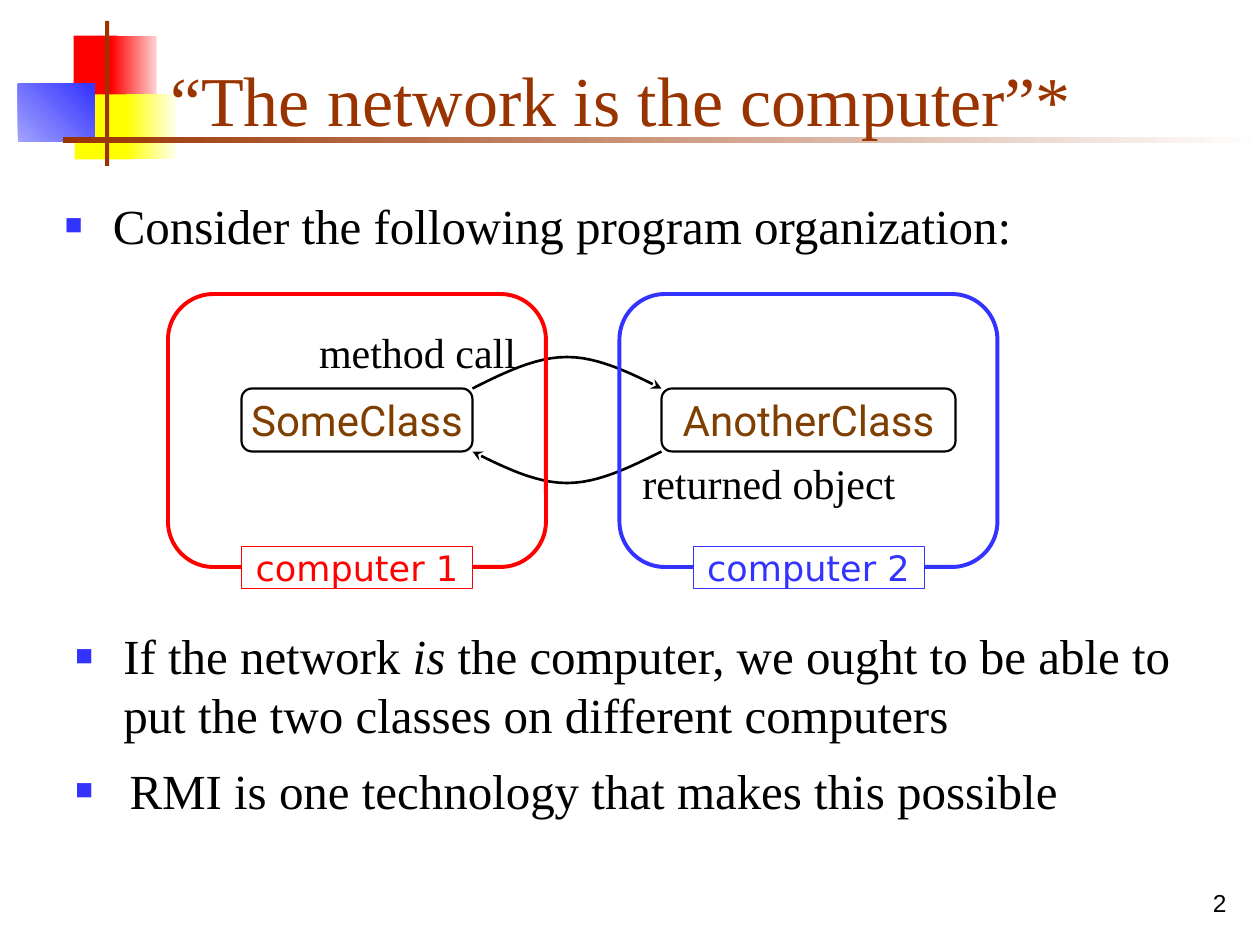
import pptx
import pptx.util
import pptx.dml.color
import pptx.enum.shapes
import pptx.enum.text
import pptx.oxml
import pptx.oxml.ns

hues = {"red": "FF0000", "pink": "FFD1D1", "yellow": "FFFF00", "cream": "FFFFF0",
        "blue": "3333FF", "pale": "A2A2FF", "rust": "993300", "brown": "7F3F00",
        "black": "000000", "white": "FFFFFF"}
color = {name: pptx.dml.color.RGBColor.from_string(code) for name, code in hues.items()}
kinds = pptx.enum.shapes.MSO_SHAPE
aligns = pptx.enum.text.PP_ALIGN
anchors = pptx.enum.text.MSO_ANCHOR
serif = "Times New Roman"

deck = pptx.Presentation()
deck.slide_width = pptx.util.Inches(10)
deck.slide_height = pptx.util.Inches(7.5)
unit = deck.slide_width // 120
slide = deck.slides.add_slide(deck.slide_layouts[5])
shapes = slide.shapes


def write(shape, text, size=28, font=serif, hue="black", align=aligns.LEFT,
          anchor=anchors.TOP, wrap=True, bullet=False, indent=0.38):
    frame = shape.text_frame
    frame.word_wrap = wrap
    frame.vertical_anchor = anchor
    para = frame.paragraphs[0]
    para.alignment = align
    if bullet:
        props = para._p.get_or_add_pPr()
        props.set("marL", str(pptx.util.Inches(indent)))
        props.set("indent", str(-pptx.util.Inches(indent)))
        space = pptx.oxml.ns.nsdecls("a")
        for part in (f'<a:buClr {space}><a:srgbClr val="{hues["blue"]}"/></a:buClr>',
                     f'<a:buSzPct {space} val="60000"/>',
                     f'<a:buFont {space} typeface="Arial"/>',
                     f'<a:buChar {space} char="■"/>'):
            props.append(pptx.oxml.parse_xml(part))
    for index, piece in enumerate(text.split("_")):
        run = para.add_run()
        run.text = piece
        run.font.size = pptx.util.Pt(size)
        run.font.name = font
        run.font.color.rgb = color[hue]
        run.font.italic = index % 2 == 1


def draw(kind, box, fill=None, line=None, width=1, angle=0):
    shape = shapes.add_shape(kind, *(round(n * unit) for n in box))
    shape.shadow.inherit = False
    if kind == kinds.ROUNDED_RECTANGLE:
        shape.adjustments[0] = 0.167
    if isinstance(fill, tuple):
        shape.fill.gradient()
        shape.fill.gradient_angle = angle
        for stop, name in zip(shape.fill.gradient_stops, fill):
            stop.color.rgb = color[name]
    elif fill:
        shape.fill.solid()
        shape.fill.fore_color.rgb = color[fill]
    else:
        shape.fill.background()
    if line:
        shape.line.color.rgb = color[line]
        shape.line.width = pptx.util.Pt(width)
    else:
        shape.line.fill.background()
    return shape


for box, fill, angle in (
        ((7, 3.4, 4.2, 6.2), "red", 0),
        ((10.6, 3.4, 4.3, 6.2), ("red", "pink"), 0),
        ((7.1, 9, 5.5, 6.2), "yellow", 0),
        ((12, 9, 4.8, 6.2), ("yellow", "cream"), 0),
        ((1.7, 8, 7.3, 5.5), ("pale", "blue"), 45),
        ((10, 2, 0.4, 13.8), "rust", 0),
        ((6, 13, 114, 0.6), ("rust", "white"), 0)):
    draw(kinds.RECTANGLE, box, fill, angle=angle)

title = shapes.title
title.left, title.top, title.width, title.height = (
    round(n * unit) for n in (15, 3, 102.2, 11))
write(title, "“The network is the computer”*", size=40, hue="rust", anchor=anchors.BOTTOM)
shapes._spTree.append(title._element)

for left, width, name in ((23, 22, "SomeClass"), (63, 28, "AnotherClass")):
    node = draw(kinds.ROUNDED_RECTANGLE, (left, 37, width, 6), line="black", width=1.25)
    write(node, name, size=24, font="Roboto", hue="brown", align=aligns.CENTER,
          anchor=anchors.MIDDLE, wrap=False)

steps = 24
for start, base, way in ((45, 37, 1), (63, 43, -1)):
    points = []
    for step in range(steps + 1):
        rise = 1 - abs(2 * step / steps - 1)
        bend = 4.5 * rise - 1.5 * rise ** 3
        points.append((round((start + way * 18 * step / steps) * unit),
                       round((base - way * bend) * unit)))
    pen = shapes.build_freeform(*points[0])
    pen.add_line_segments(points[1:], close=False)
    arc = pen.convert_to_shape()
    arc.shadow.inherit = False
    arc.fill.background()
    arc.line.color.rgb = color["black"]
    arc.line.width = pptx.util.Pt(1.5)
    tip = f'<a:tailEnd {pptx.oxml.ns.nsdecls("a")} type="stealth"/>'
    arc.line._get_or_add_ln().append(pptx.oxml.parse_xml(tip))

for left, hue, shift, name in ((16, "red", 7, "computer 1"), (59, "blue", 7, "computer 2")):
    draw(kinds.ROUNDED_RECTANGLE, (left, 28, 36, 26), line=hue, width=2.25)
    label = draw(kinds.RECTANGLE, (left + shift, 52, 22, 4), "white", hue, 0.25)
    write(label, name, size=20, font="DejaVu Sans", hue=hue, align=aligns.CENTER,
          anchor=anchors.MIDDLE, wrap=False)

for box, text, look in (
        ((5, 18, 110, 8), "Consider the following program organization:", {"bullet": True}),
        ((6, 59, 110, 16), "If the network _is_ the computer, we ought to be able to put "
         "the two classes on different computers", {"bullet": True}),
        ((6, 65, 108, 13.6), "RMI is one technology that makes this possible",
         {"bullet": True, "indent": 0.43, "anchor": anchors.BOTTOM}),
        ((29.2, 30.5, 22, 6), "method call", {"size": 24}),
        ((60, 43, 28, 6), "returned object", {"size": 24}),
        ((93, 82, 25, 6), "2", {"size": 14, "font": "Arial", "align": aligns.RIGHT,
                                "anchor": anchors.BOTTOM})):
    write(shapes.add_textbox(*(round(n * unit) for n in box)), text, **look)

deck.save("out.pptx")
